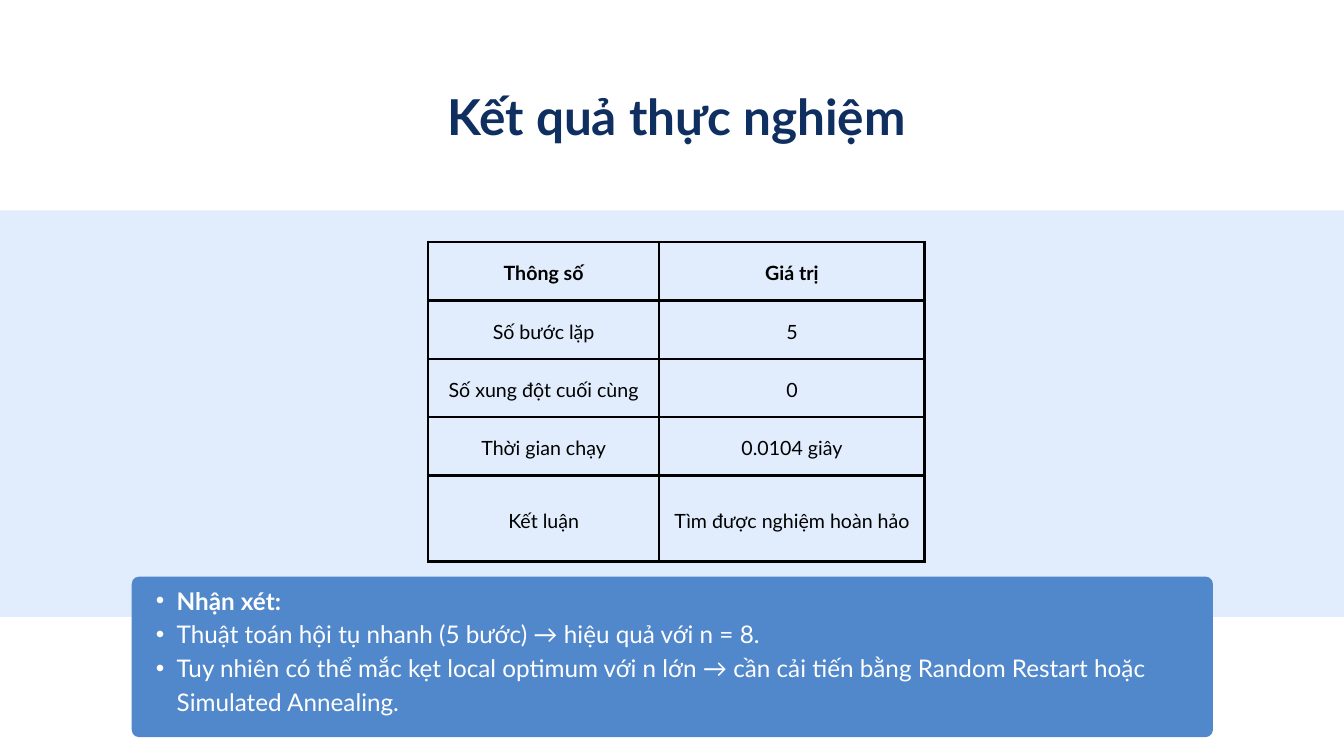
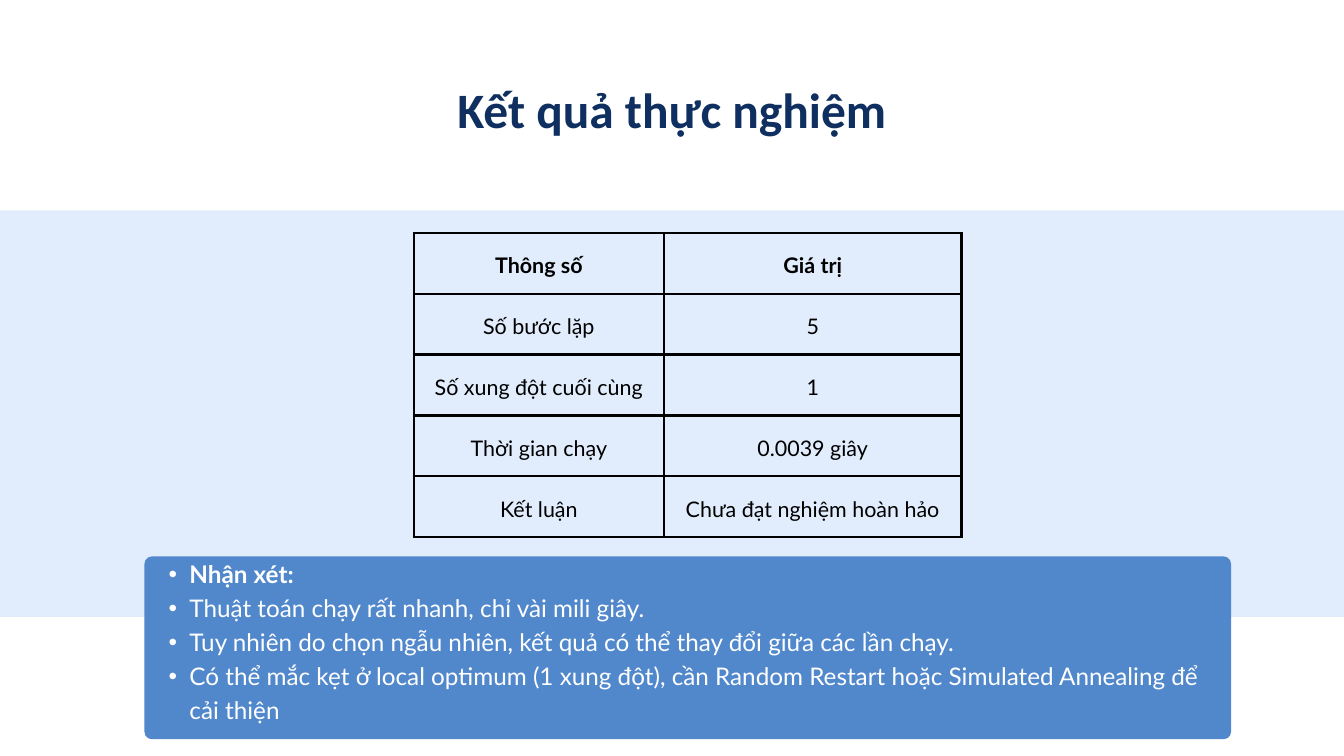
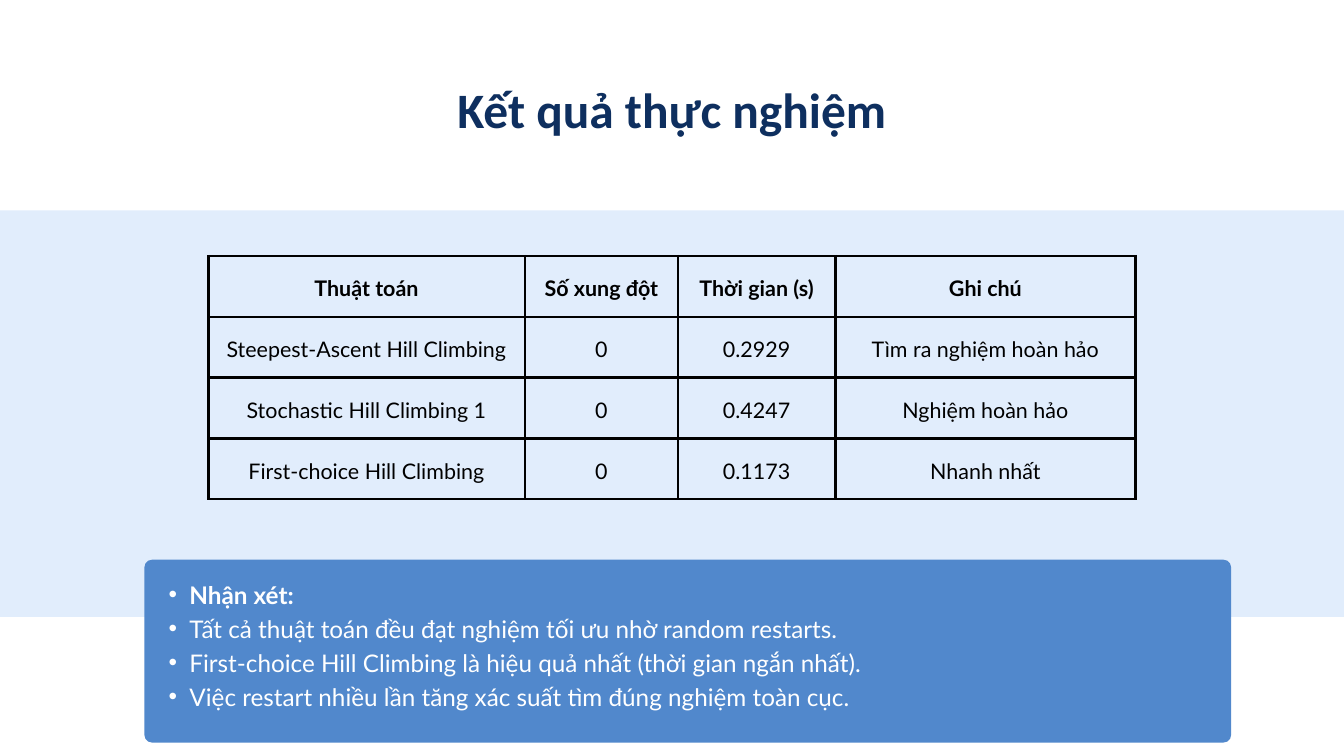
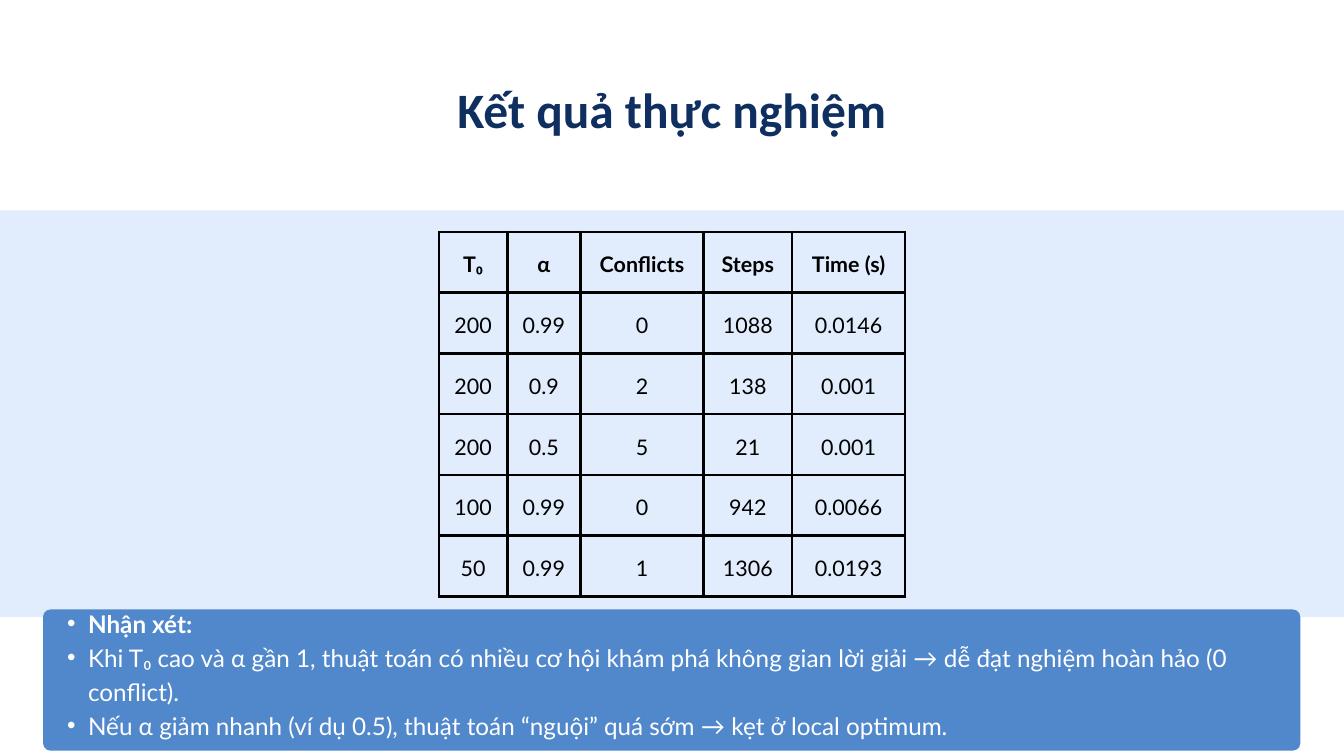
from dataclasses import dataclass

from lxml.etree import SubElement
from pptx import Presentation
from pptx.dml.color import RGBColor
from pptx.enum.shapes import MSO_SHAPE
from pptx.enum.text import MSO_ANCHOR, MSO_AUTO_SIZE, PP_ALIGN
from pptx.oxml.ns import qn
from pptx.util import Inches, Pt


@dataclass(frozen=True)
class Theme:
    navy: str = "0E2F5F"
    pale_blue: str = "E1EDFC"
    blue: str = "5188CC"
    white: str = "FFFFFF"
    black: str = "000000"
    body_font: str = "Lato"
    title_size: int = 53
    remark_size: int = 26
    border_width: int = 3


theme = Theme()
presentation = Presentation()
presentation.slide_width = Inches(20)
presentation.slide_height = Inches(11.25)
one_across = presentation.slide_width / 100
one_down = presentation.slide_height / 100


def area(left, top, width, height):
    """Turn percentages of the slide's size into lengths."""
    return (round(left * one_across), round(top * one_down),
            round(width * one_across), round(height * one_down))


def style(paragraph, name, size, color, bold, line_height):
    paragraph.line_spacing = Pt(line_height)
    paragraph.font.name = name
    paragraph.font.size = Pt(size)
    paragraph.font.bold = bold
    paragraph.font.color.rgb = RGBColor.from_string(color)


TITLE = "Kết quả thực nghiệm"
REMARK_HEADING = "Nhận xét:"
LATER_TITLE = dict(title_font="Calibri", title_area=(28.45, 9.96, 43.1, 9.16))
TEXT_RISE = 2.13  # the remark text box starts this far above its panel
ROW = 8.04

# Areas, columns and rows are percentages of the slide's width and height.
results = [
    dict(
        title_font=theme.body_font, title_area=(28.8, 10.93, 43.1, 8.18),
        table_corner=(31.85, 32), table_size=21,
        columns=[17.2, 19.75], rows=[7.73] * 4 + [11.38],
        cells=[
            ["Thông số", "Giá trị"],
            ["Số bước lặp", "5"],
            ["Số xung đột cuối cùng", "0"],
            ["Thời gian chạy", "0.0104 giây"],
            ["Kết luận", "Tìm được nghiệm hoàn hảo"],
        ],
        panel=(9.8, 76.27, 80.45, 21.24),
        remarks=[
            "Thuật toán hội tụ nhanh (5 bước) → hiệu quả với n = 8.",
            "Tuy nhiên có thể mắc kẹt local optimum với n lớn → cần cải tiến "
            "bằng Random Restart hoặc Simulated Annealing.",
        ],
    ),
    dict(
        **LATER_TITLE,
        table_corner=(30.8, 30.84), table_size=23,
        columns=[18.6, 22.15], rows=[ROW] * 5,
        cells=[
            ["Thông số", "Giá trị"],
            ["Số bước lặp", "5"],
            ["Số xung đột cuối cùng", "1"],
            ["Thời gian chạy", "0.0039 giây"],
            ["Kết luận", "Chưa đạt nghiệm hoàn hảo"],
        ],
        panel=(10.75, 73.6, 80.85, 24.18),
        remarks=[
            "Thuật toán chạy rất nhanh, chỉ vài mili giây.",
            "Tuy nhiên do chọn ngẫu nhiên, kết quả có thể thay đổi giữa các lần chạy.",
            "Có thể mắc kẹt ở local optimum (1 xung đột), cần Random Restart "
            "hoặc Simulated Annealing để cải thiện",
        ],
    ),
    dict(
        **LATER_TITLE,
        table_corner=(15.5, 33.87), table_size=23,
        columns=[23.55, 11.4, 11.7, 22.35], rows=[ROW] * 4,
        cells=[
            ["Thuật toán", "Số xung đột", "Thời gian (s)", "Ghi chú"],
            ["Steepest-Ascent Hill Climbing", "0", "0.2929", "Tìm ra nghiệm hoàn hảo"],
            ["Stochastic Hill Climbing 1", "0", "0.4247", "Nghiệm hoàn hảo"],
            ["First-choice Hill Climbing", "0", "0.1173", "Nhanh nhất"],
        ],
        panel=(10.75, 74.04, 80.85, 24.18),
        remarks=[
            "Tất cả thuật toán đều đạt nghiệm tối ưu nhờ random restarts.",
            "First-choice Hill Climbing là hiệu quả nhất (thời gian ngắn nhất).",
            "Việc restart nhiều lần tăng xác suất tìm đúng nghiệm toàn cục.",
        ],
    ),
    dict(
        **LATER_TITLE,
        table_corner=(32.65, 30.67), table_size=23,
        columns=[5.1, 5.45, 9.15, 6.6, 8.4], rows=[ROW] * 6,
        cells=[
            ["T₀", "α", "Conflicts", "Steps", "Time (s)"],
            ["200", "0.99", "0", "1088", "0.0146"],
            ["200", "0.9", "2", "138", "0.001"],
            ["200", "0.5", "5", "21", "0.001"],
            ["100", "0.99", "0", "942", "0.0066"],
            ["50", "0.99", "1", "1306", "0.0193"],
        ],
        panel=(3.2, 80.62, 93.55, 18.67),
        remarks=[
            "Khi T₀ cao và α gần 1, thuật toán có nhiều cơ hội khám phá không gian "
            "lời giải → dễ đạt nghiệm hoàn hảo (0 conflict).",
            "Nếu α giảm nhanh (ví dụ 0.5), thuật toán “nguội” quá sớm → kẹt ở local optimum.",
        ],
    ),
]

for result in results:
    slide = presentation.slides.add_slide(presentation.slide_layouts[6])
    slide.background.fill.solid()
    slide.background.fill.fore_color.rgb = RGBColor.from_string(theme.white)

    # Band behind the table
    band = slide.shapes.add_shape(MSO_SHAPE.RECTANGLE, *area(0, 27.82, 100, 53.78))
    band.fill.solid()
    band.fill.fore_color.rgb = RGBColor.from_string(theme.pale_blue)
    band.line.fill.background()
    band.shadow.inherit = False

    # Table of measurements
    columns, rows = result["columns"], result["rows"]
    table = slide.shapes.add_table(
        len(rows), len(columns),
        *area(*result["table_corner"], sum(columns), sum(rows))).table
    table.first_row = table.horz_banding = False
    for column, width in zip(table.columns, columns):
        column.width = round(width * one_across)
    for row_index, height in enumerate(rows):
        table.rows[row_index].height = round(height * one_down)
        for column_index, text in enumerate(result["cells"][row_index]):
            cell = table.cell(row_index, column_index)
            cell.text = text
            cell.vertical_anchor = MSO_ANCHOR.MIDDLE
            cell.margin_left = cell.margin_right = Inches(0.21)
            cell.margin_top = cell.margin_bottom = Inches(0.21)
            paragraph = cell.text_frame.paragraphs[0]
            paragraph.alignment = PP_ALIGN.CENTER
            size = result["table_size"]
            style(paragraph, theme.body_font, size, theme.black, row_index == 0, size * 1.4)
            properties = cell._tc.get_or_add_tcPr()
            for edge in ("a:lnL", "a:lnR", "a:lnT", "a:lnB"):
                border = SubElement(properties, qn(edge), w=str(Pt(theme.border_width)))
                border_fill = SubElement(border, qn("a:solidFill"))
                SubElement(border_fill, qn("a:srgbClr"), val=theme.black)
            cell.fill.background()

    # Title
    title = slide.shapes.add_textbox(*area(*result["title_area"])).text_frame
    title.margin_left = title.margin_right = title.margin_top = title.margin_bottom = 0
    title.word_wrap = True
    title.auto_size = MSO_AUTO_SIZE.SHAPE_TO_FIT_TEXT
    title.text = TITLE
    title.paragraphs[0].alignment = PP_ALIGN.CENTER
    style(title.paragraphs[0], result["title_font"], theme.title_size, theme.navy, True, 67.3)

    # Remarks on a rounded panel
    left, top, width, height = result["panel"]
    panel = slide.shapes.add_shape(MSO_SHAPE.ROUNDED_RECTANGLE, *area(*result["panel"]))
    panel.adjustments[0] = Inches(0.11) / panel.height
    panel.fill.solid()
    panel.fill.fore_color.rgb = RGBColor.from_string(theme.blue)
    panel.line.fill.background()
    panel.shadow.inherit = False

    remark_box = slide.shapes.add_textbox(
        *area(left, top - TEXT_RISE, width, height + TEXT_RISE)).text_frame
    remark_box.word_wrap = True
    remark_box.vertical_anchor = MSO_ANCHOR.MIDDLE
    remark_box.margin_left = remark_box.margin_right = Inches(0.06)
    remark_box.margin_top = remark_box.margin_bottom = Inches(0.06)
    remark_box.text = "\n".join([REMARK_HEADING] + result["remarks"])
    for index, paragraph in enumerate(remark_box.paragraphs):
        paragraph.level = 1
        properties = paragraph._p.get_or_add_pPr()
        properties.set("marL", str(Inches(0.61)))
        properties.set("indent", str(Inches(-0.31)))
        SubElement(properties, qn("a:buFont"), typeface="Arial")
        SubElement(properties, qn("a:buChar"), char="•")
        style(paragraph, theme.body_font, theme.remark_size, theme.white, index == 0, 36.4)

presentation.save("out.pptx")
